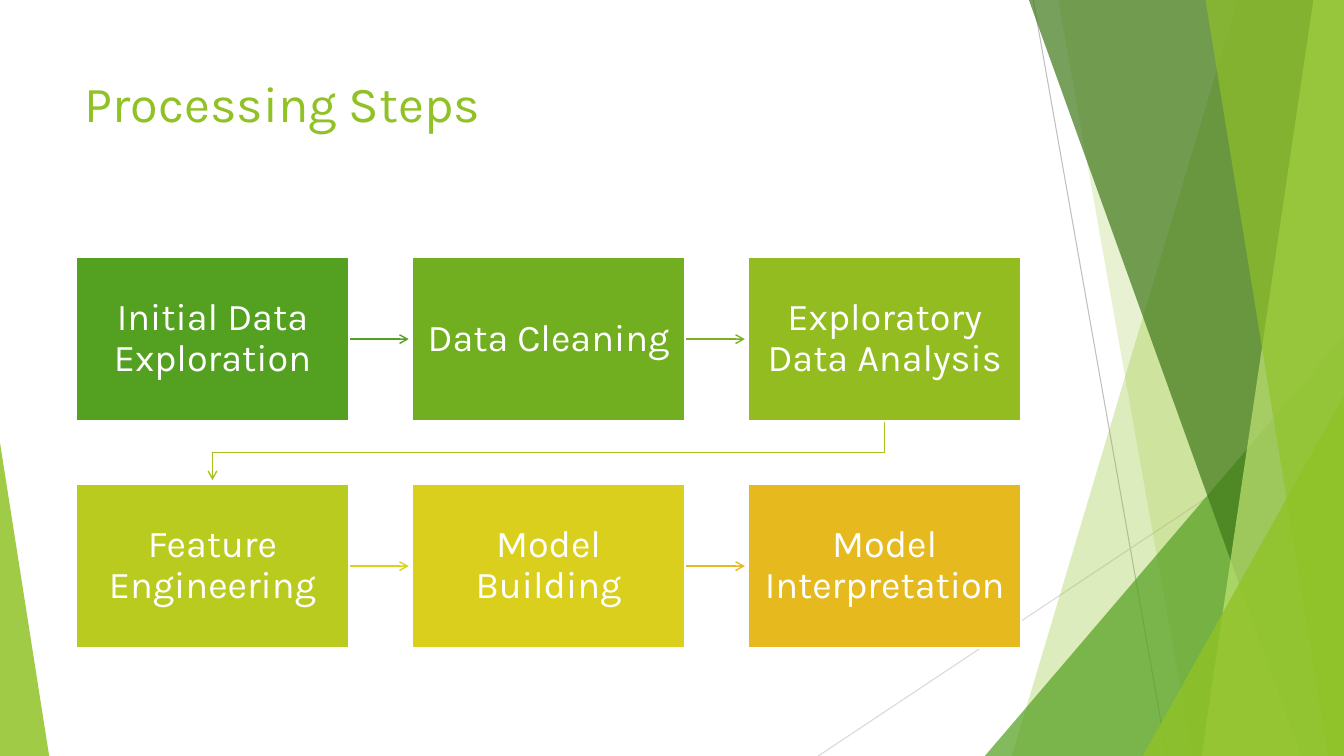
"""Build the Processing Steps slide: a six-step flow on a green faceted backdrop."""
from dataclasses import dataclass

from lxml import etree
from pptx import Presentation
from pptx.dml.color import RGBColor
from pptx.enum.shapes import MSO_CONNECTOR, MSO_SHAPE
from pptx.enum.text import MSO_ANCHOR, MSO_AUTO_SIZE, PP_ALIGN
from pptx.oxml.ns import qn
from pptx.util import Cm, Pt

RECTANGLE, TRIANGLE = MSO_SHAPE.RECTANGLE, MSO_SHAPE.ISOSCELES_TRIANGLE
STRAIGHT = MSO_CONNECTOR.STRAIGHT
LEFT, CENTER = PP_ALIGN.LEFT, PP_ALIGN.CENTER
TOP, MIDDLE = MSO_ANCHOR.TOP, MSO_ANCHOR.MIDDLE
NO_AUTOFIT = MSO_AUTO_SIZE.NONE


@dataclass(frozen=True)
class Theme:
    font: str = "Karla"
    title_size: int = 36
    step_size: int = 27
    lime: str = "90C226"
    green: str = "54A021"
    forest: str = "3F7819"
    pale: str = "C0E474"
    white: str = "FFFFFF"
    gray: str = "BFBFBF"
    light_gray: str = "D9D9D9"
    steps: tuple = ("54A021", "71AE20", "92BC1F", "B9CB1E", "DACF1C", "E6B91E")
    arrows: tuple = ("54A021", "79B220", "A5C41F", "D7D31D", "E6B91E")


THEME = Theme()
WIDTH, HEIGHT = 33.87, 19.05
STEPS = ("Initial Data Exploration", "Data Cleaning", "Exploratory Data Analysis",
         "Feature Engineering", "Model Building", "Model Interpretation")
COLUMNS = 3
GRID_X, GRID_Y = 1.91, 6.48
BOX_W, BOX_H = 6.89, 4.13
PITCH_X, PITCH_Y = 8.47, 5.72
ARROW_LENGTH = 1.5


def set_fill(sp, color, opacity=100):
    sp.shadow.inherit = False
    sp.fill.solid()
    sp.fill.fore_color.rgb = RGBColor.from_string(color)
    if opacity < 100:
        clr = sp.fill._xPr.find(qn("a:solidFill"))[0]
        etree.SubElement(clr, qn("a:alpha")).set("val", str(opacity * 1000))


def set_line(sp, color, width):
    sp.line.color.rgb = RGBColor.from_string(color)
    sp.line.width = Pt(width)


def add_arrowhead(sp):
    ln = sp.line._get_or_add_ln()
    etree.SubElement(ln, qn("a:tailEnd")).set("type", "arrow")


def add_line(shapes, start, end, color, width):
    cxn = shapes.add_connector(STRAIGHT, *map(Cm, start + end))
    set_line(cxn, color, width)
    etree.SubElement(cxn._element.spPr, qn("a:effectLst"))
    return cxn


def add_path(shapes, points, close):
    start, *rest = [(Cm(x), Cm(y)) for x, y in points]
    builder = shapes.build_freeform(*start)
    builder.add_line_segments(rest, close=close)
    return builder.convert_to_shape()


def add_band(shapes, top_x, bottom_x, color, opacity):
    corners = ((top_x, 0), (WIDTH, 0), (WIDTH, HEIGHT), (bottom_x, HEIGHT))
    sp = add_path(shapes, corners, close=True)
    set_fill(sp, color, opacity)
    sp.line.fill.background()


def add_corner(shapes, x, y, w, apex, color, opacity):
    sp = shapes.add_shape(TRIANGLE, *map(Cm, (x, y, w, HEIGHT - y)))
    sp.adjustments[0] = apex
    set_fill(sp, color, opacity)
    sp.line.fill.background()


def add_run(p, text, size, color):
    r = p.add_run()
    r.text = text
    r.font.name = THEME.font
    r.font.size = Pt(size)
    r.font.color.rgb = RGBColor.from_string(color)


def add_title(slide, text):
    sp = slide.shapes.title
    sp.left, sp.top, sp.width, sp.height = map(Cm, (1.88, 1.7, 23.88, 3.66))
    tf = sp.text_frame
    tf.auto_size = NO_AUTOFIT
    tf.vertical_anchor = TOP
    p = tf.paragraphs[0]
    p.alignment = LEFT
    add_run(p, text, THEME.title_size, THEME.lime)


def add_backdrop(shapes):
    add_line(shapes, (26.04, 0), (29.41, HEIGHT), THEME.gray, 0.75)
    add_line(shapes, (WIDTH, 10.24), (20.62, HEIGHT), THEME.light_gray, 0.75)
    add_band(shapes, 31.19, 25.5, THEME.lime, 30)
    add_band(shapes, 26.67, 30.05, THEME.lime, 20)
    add_corner(shapes, 24.82, 8.46, 9.05, 1, THEME.green, 72)
    add_band(shapes, 25.93, 32.79, THEME.forest, 70)
    add_band(shapes, 33.1, 30.28, THEME.pale, 70)
    add_band(shapes, 30.38, 33.48, THEME.lime, 65)
    add_corner(shapes, 28.8, 9.98, 5.07, 1, THEME.lime, 80)
    add_corner(shapes, 0, 11.15, 1.24, 0, THEME.lime, 85)


def step_position(i):
    row, col = divmod(i, COLUMNS)
    return GRID_X + col * PITCH_X, GRID_Y + row * PITCH_Y


def add_step(shapes, i, text):
    x, y = step_position(i)
    sp = shapes.add_shape(RECTANGLE, *map(Cm, (x, y, BOX_W, BOX_H)))
    set_fill(sp, THEME.steps[i])
    set_line(sp, THEME.white, 1.5)
    tf = sp.text_frame
    tf.word_wrap = True
    tf.vertical_anchor = MIDDLE
    tf.margin_left = tf.margin_right = Cm(0.33)
    tf.margin_top = tf.margin_bottom = Cm(0.36)
    p = tf.paragraphs[0]
    p.alignment = CENTER
    p.line_spacing = 0.9
    add_run(p, text, THEME.step_size, THEME.white)


def add_flow_arrow(shapes, i, color):
    x, y = step_position(i)
    if (i + 1) % COLUMNS:
        x, y = x + BOX_W, y + BOX_H / 2
        sp = add_line(shapes, (x, y), (x + ARROW_LENGTH, y), color, 1)
    else:
        next_x, next_y = step_position(i + 1)
        start_x, end_x = x + BOX_W / 2, next_x + BOX_W / 2
        bottom = y + BOX_H
        turn_y = (bottom + next_y) / 2
        sp = add_path(shapes, ((start_x, bottom), (start_x, turn_y),
                               (end_x, turn_y), (end_x, next_y - 0.1)), close=False)
        sp.shadow.inherit = False
        sp.fill.background()
        set_line(sp, color, 1)
    add_arrowhead(sp)


def main():
    prs = Presentation()
    prs.slide_width, prs.slide_height = Cm(WIDTH), Cm(HEIGHT)
    s = prs.slides.add_slide(prs.slide_layouts[5])
    add_backdrop(s.shapes)
    add_title(s, "Processing Steps")
    for i, color in enumerate(THEME.arrows):
        add_flow_arrow(s.shapes, i, color)
    for i, text in enumerate(STEPS):
        add_step(s.shapes, i, text)
    prs.save("out.pptx")


if __name__ == "__main__":
    main()
